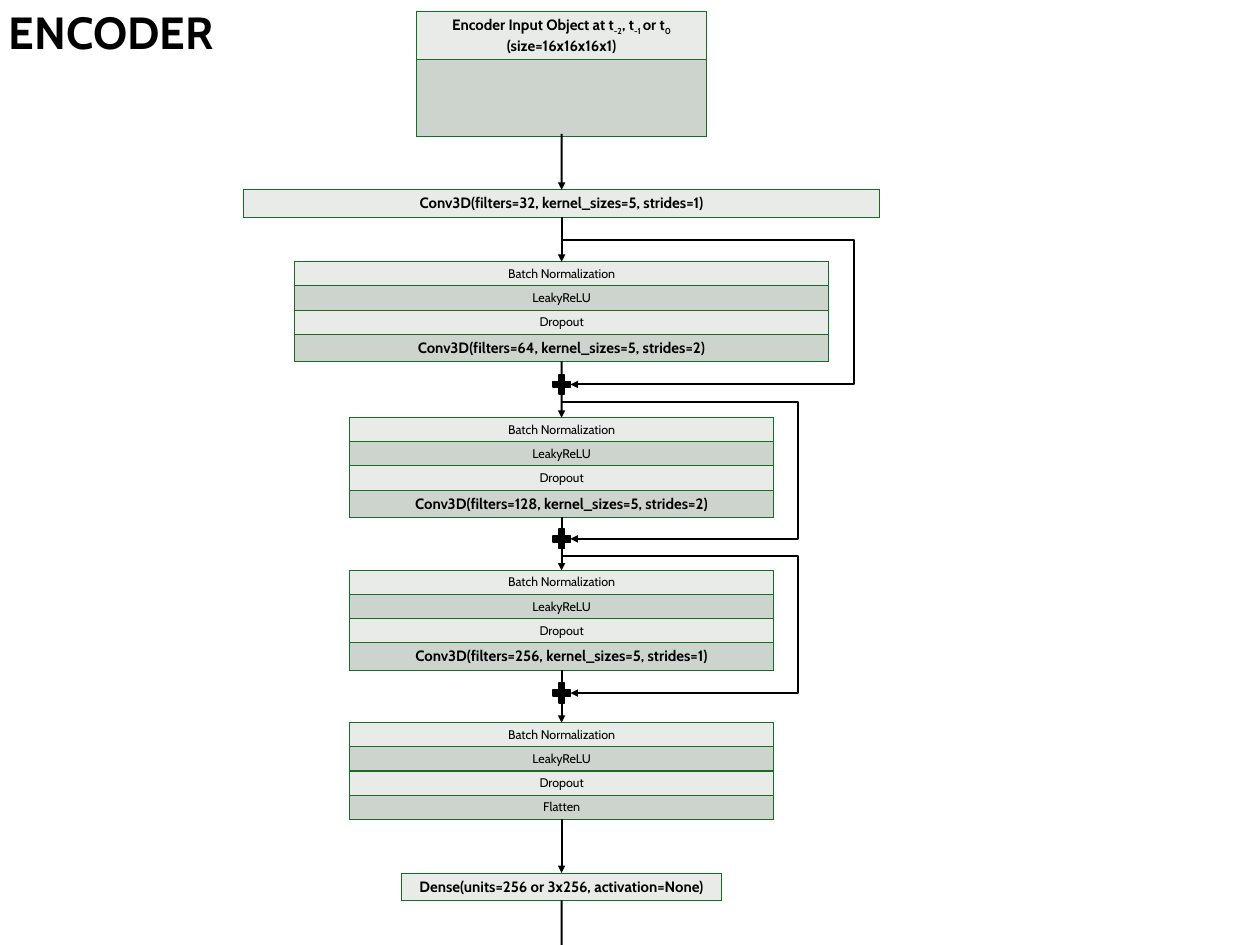
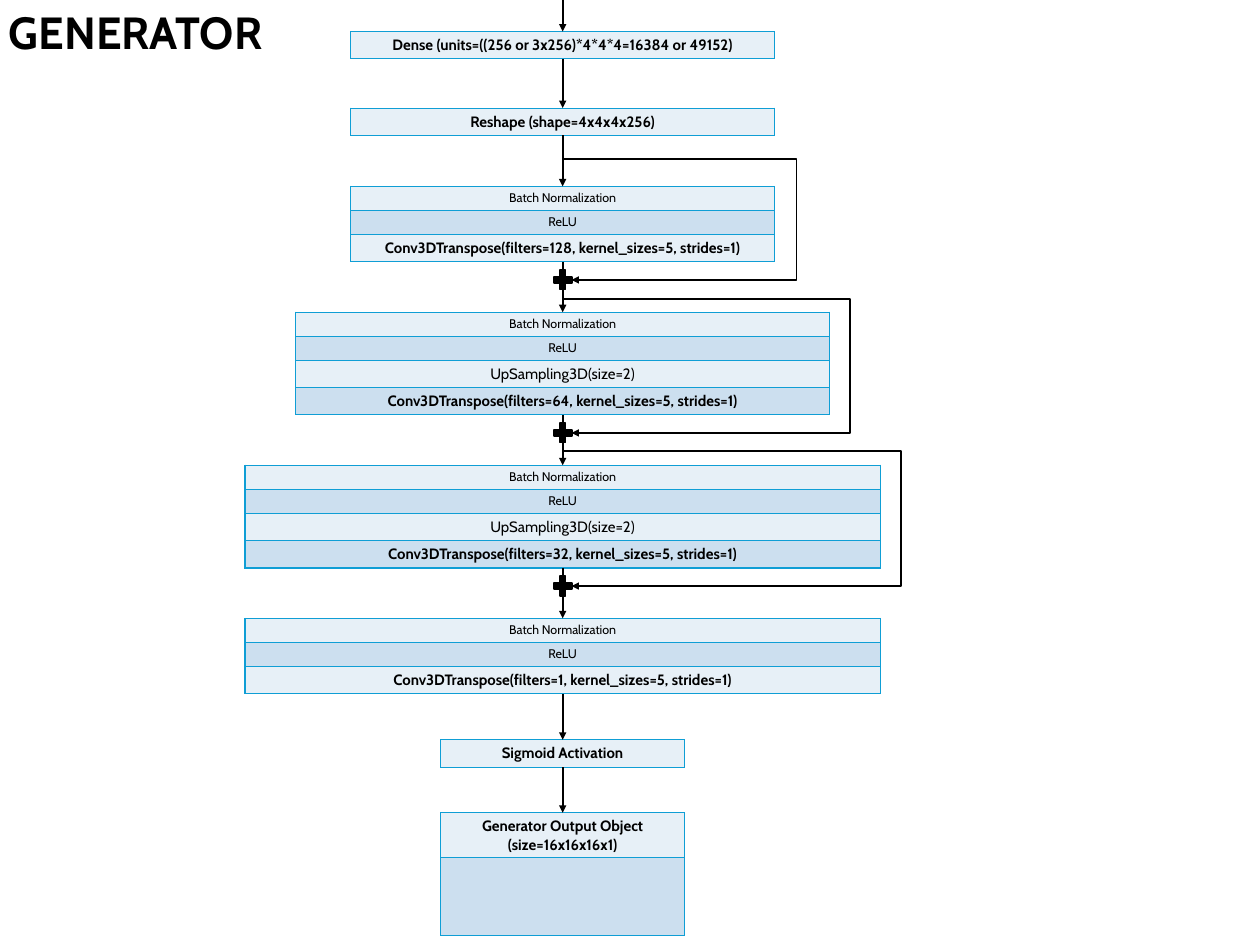
from dataclasses import dataclass

from lxml.etree import SubElement
from pptx import Presentation
from pptx.dml.color import RGBColor
from pptx.enum.shapes import MSO_CONNECTOR, MSO_SHAPE
from pptx.enum.text import MSO_ANCHOR, PP_ALIGN
from pptx.oxml.ns import qn
from pptx.util import Cm, Pt


@dataclass(frozen=True)
class Theme:
    font: str = "Cabin"
    ink: str = "000000"
    title_size: float = 36
    strong_size: float = 12
    layer_size: float = 10
    line_width: float = 1.5
    border_width: float = 1


THEME = Theme()


@dataclass(frozen=True)
class Palette:
    border: str
    light: str
    dark: str


@dataclass(frozen=True)
class Span:
    text: str
    subscript: bool = False


@dataclass(frozen=True)
class Layer:
    spans: tuple[Span, ...]
    size: float = THEME.layer_size
    bold: bool = False
    height: float = 0.68


@dataclass(frozen=True)
class Block:
    top: float
    width: float
    layers: tuple[Layer, ...]


@dataclass(frozen=True)
class Skip:
    """A skip connection: leaves at start, runs along side, joins at end."""
    start: float
    side: float
    end: float


@dataclass(frozen=True)
class Network:
    title: str
    title_width: float
    palette: Palette
    center: float
    blocks: tuple[Block, ...]
    skips: tuple[Skip, ...]
    entry: float | None = None
    exit: float | None = None


def plain(text: str) -> Layer:
    return Layer((Span(text),))


def strong(text: str, bold: bool = True) -> Layer:
    return Layer((Span(text),), THEME.strong_size, bold, 0.77)


def volume(*spans: Span) -> tuple[Layer, ...]:
    """A two-line heading above an empty body."""
    return Layer(spans, THEME.strong_size, True, 1.27), Layer((), height=2.18)


def encoder_layers(last: Layer) -> tuple[Layer, ...]:
    return (*map(plain, ("Batch Normalization", "LeakyReLU", "Dropout")), last)


def generator_layers(filters: int, upsample: bool = False) -> tuple[Layer, ...]:
    upsampling = (strong("UpSampling3D(size=2)", bold=False),) if upsample else ()
    convolution = f"Conv3DTranspose(filters={filters}, kernel_sizes=5, strides=1)"
    return (plain("Batch Normalization"), plain("ReLU"), *upsampling, strong(convolution))


WIDE, MEDIUM, NARROW, OUTPUT = 17.93, 15.06, 11.96, 6.88

ENCODER = Network(
    title="ENCODER",
    title_width=6.88,
    palette=Palette(border="196B24", light="E8EBE8", dark="CCD4CD"),
    center=15.85,
    blocks=(
        Block(0.33, 8.2, volume(
            Span("Encoder Input Object at t"), Span("-2", True), Span(", t"),
            Span("-1 ", True), Span("or t"), Span("0", True),
            Span(" (size=16x16x16x1)"))),
        Block(5.36, WIDE, (strong("Conv3D(filters=32, kernel_sizes=5, strides=1)"),)),
        Block(7.39, MEDIUM, encoder_layers(
            strong("Conv3D(filters=64, kernel_sizes=5, strides=2)"))),
        Block(11.79, NARROW, encoder_layers(
            strong("Conv3D(filters=128, kernel_sizes=5, strides=2)"))),
        Block(16.1, NARROW, encoder_layers(
            strong("Conv3D(filters=256, kernel_sizes=5, strides=1)"))),
        Block(20.4, NARROW, encoder_layers(plain("Flatten"))),
        Block(24.64, 9.04, (strong("Dense(units=256 or 3x256, activation=None)"),)),
    ),
    skips=(Skip(6.78, 24.1, 10.85), Skip(11.35, 22.53, 15.21), Skip(15.7, 22.53, 19.56)),
    exit=26.92,
)

GENERATOR = Network(
    title="GENERATOR",
    title_width=8.31,
    palette=Palette(border="0F9ED5", light="E7F0F7", dark="CCDFEF"),
    center=15.88,
    blocks=(
        Block(0.89, NARROW, (
            strong("Dense (units=((256 or 3x256)*4*4*4=16384 or 49152)"),)),
        Block(3.05, NARROW, (strong("Reshape (shape=4x4x4x256)"),)),
        Block(5.26, NARROW, generator_layers(128)),
        Block(8.81, MEDIUM, generator_layers(64, upsample=True)),
        Block(13.13, WIDE, generator_layers(32, upsample=True)),
        Block(17.45, WIDE, generator_layers(1)),
        Block(20.88, OUTPUT, (strong("Sigmoid Activation"),)),
        Block(22.94, OUTPUT, volume(Span("Generator Output Object (size=16x16x16x1)"))),
    ),
    skips=(Skip(4.5, 22.48, 7.9), Skip(8.43, 24, 12.22), Skip(12.73, 25.43, 16.54)),
    entry=-0.53,
)


def write(frame, spans: tuple[Span, ...], *, size: float, bold: bool = False,
          align=PP_ALIGN.LEFT) -> None:
    para = frame.paragraphs[0]
    para.alignment = align
    for part in spans:
        span = para.add_run()
        span.text = part.text
        span.font.name = THEME.font
        span.font.size = Pt(size)
        span.font.bold = bold
        span.font.color.rgb = RGBColor.from_string(THEME.ink)
        if part.subscript:
            span._r.get_or_add_rPr().set("baseline", "-25000")


def outline_cell(cell, color: str) -> None:
    properties = cell._tc.get_or_add_tcPr()
    for side in ("a:lnL", "a:lnR", "a:lnT", "a:lnB"):
        line = SubElement(properties, qn(side), w=str(Pt(THEME.border_width)))
        SubElement(SubElement(line, qn("a:solidFill")), qn("a:srgbClr"), val=color)


def draw_block(page, block: Block, center: float, palette: Palette):
    height = sum(layer.height for layer in block.layers)
    holder = page.shapes.add_table(
        len(block.layers), 1, Cm(center - block.width / 2), Cm(block.top),
        Cm(block.width), Cm(height))
    table = holder.table
    table.first_row = table.horz_banding = False
    for index, layer in enumerate(block.layers):
        table.rows[index].height = Cm(layer.height)
        cell = table.cell(index, 0)
        outline_cell(cell, palette.border)
        cell.fill.solid()
        cell.fill.fore_color.rgb = RGBColor.from_string(
            palette.dark if index % 2 else palette.light)
        cell.vertical_anchor = MSO_ANCHOR.MIDDLE
        write(cell.text_frame, layer.spans, size=layer.size, bold=layer.bold,
              align=PP_ALIGN.CENTER)
    return holder


def add_arrow(page, kind, start: tuple[float, float], end: tuple[float, float]):
    arrow = page.shapes.add_connector(kind, *map(Cm, (*start, *end)))
    arrow.line.color.rgb = RGBColor.from_string(THEME.ink)
    arrow.line.width = Pt(THEME.line_width)
    SubElement(arrow.line._get_or_add_ln(), qn("a:tailEnd"), type="triangle")
    SubElement(arrow._element.spPr, qn("a:effectLst"))
    return arrow


def draw_flow(page, center: float, upper=None, lower=None,
              start: float = 0, end: float = 0) -> None:
    """Arrow down the centre, joined to the given blocks."""
    arrow = add_arrow(page, MSO_CONNECTOR.STRAIGHT, (center, start), (center, end))
    if upper is not None:
        arrow.begin_connect(upper, 2)
    if lower is not None:
        arrow.end_connect(lower, 0)


def draw_skip(page, skip: Skip, center: float) -> None:
    reach = 0.25
    arrow = add_arrow(page, MSO_CONNECTOR.ELBOW, (center, skip.start),
                      (center + reach, skip.end))
    guides = arrow._element.spPr.find(qn("a:prstGeom")).get_or_add_avLst()
    bend = round((skip.side - center) / reach * 100000)
    SubElement(guides, qn("a:gd"), name="adj1", fmla=f"val {bend}")

    width, height = 0.69, 0.74
    plus = page.shapes.add_shape(
        MSO_SHAPE.MATH_PLUS, Cm(center - width / 2), Cm(skip.end - height / 2),
        Cm(width), Cm(height))
    plus.shadow.inherit = False
    plus.fill.solid()
    plus.fill.fore_color.rgb = RGBColor.from_string(THEME.ink)
    plus.line.color.rgb = RGBColor.from_string(THEME.ink)
    plus.line.width = Pt(THEME.line_width)


def draw_network(deck, network: Network) -> None:
    page = deck.slides.add_slide(deck.slide_layouts[6])
    center = network.center
    title = page.shapes.add_textbox(0, 0, Cm(network.title_width), Cm(3.33))
    title.text_frame.word_wrap = True
    write(title.text_frame, (Span(network.title),), size=THEME.title_size, bold=True)

    tables = [draw_block(page, block, center, network.palette)
              for block in network.blocks]
    for upper, lower in zip(tables, tables[1:]):
        draw_flow(page, center, upper, lower)
    if network.entry is not None:
        draw_flow(page, center, lower=tables[0], start=network.entry)
    if network.exit is not None:
        draw_flow(page, center, upper=tables[-1], end=network.exit)
    for skip in network.skips:
        draw_skip(page, skip, center)


def main() -> None:
    deck = Presentation()
    deck.slide_width, deck.slide_height = Cm(35.56), Cm(26.67)
    for network in (ENCODER, GENERATOR):
        draw_network(deck, network)
    deck.save("out.pptx")


if __name__ == "__main__":
    main()
